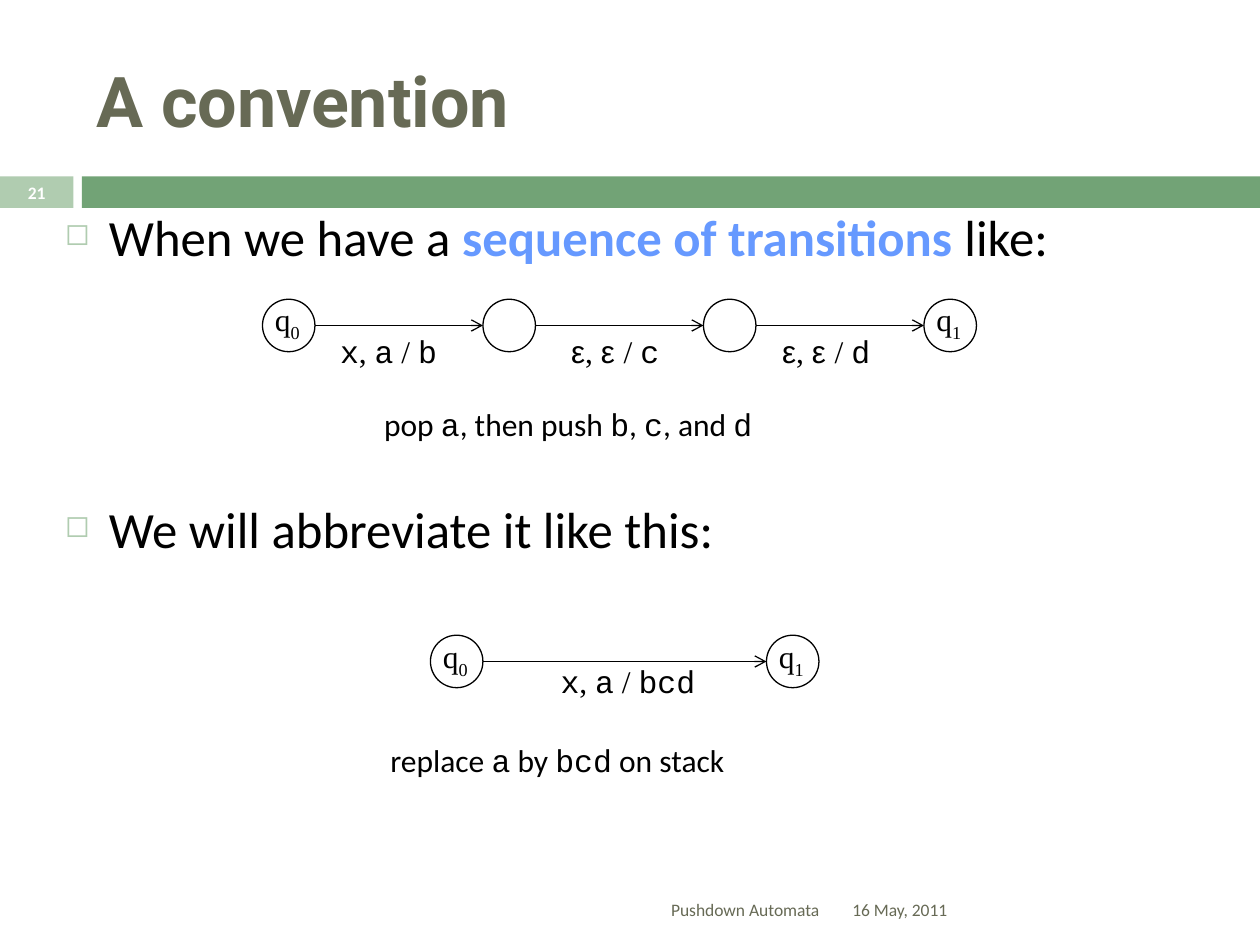
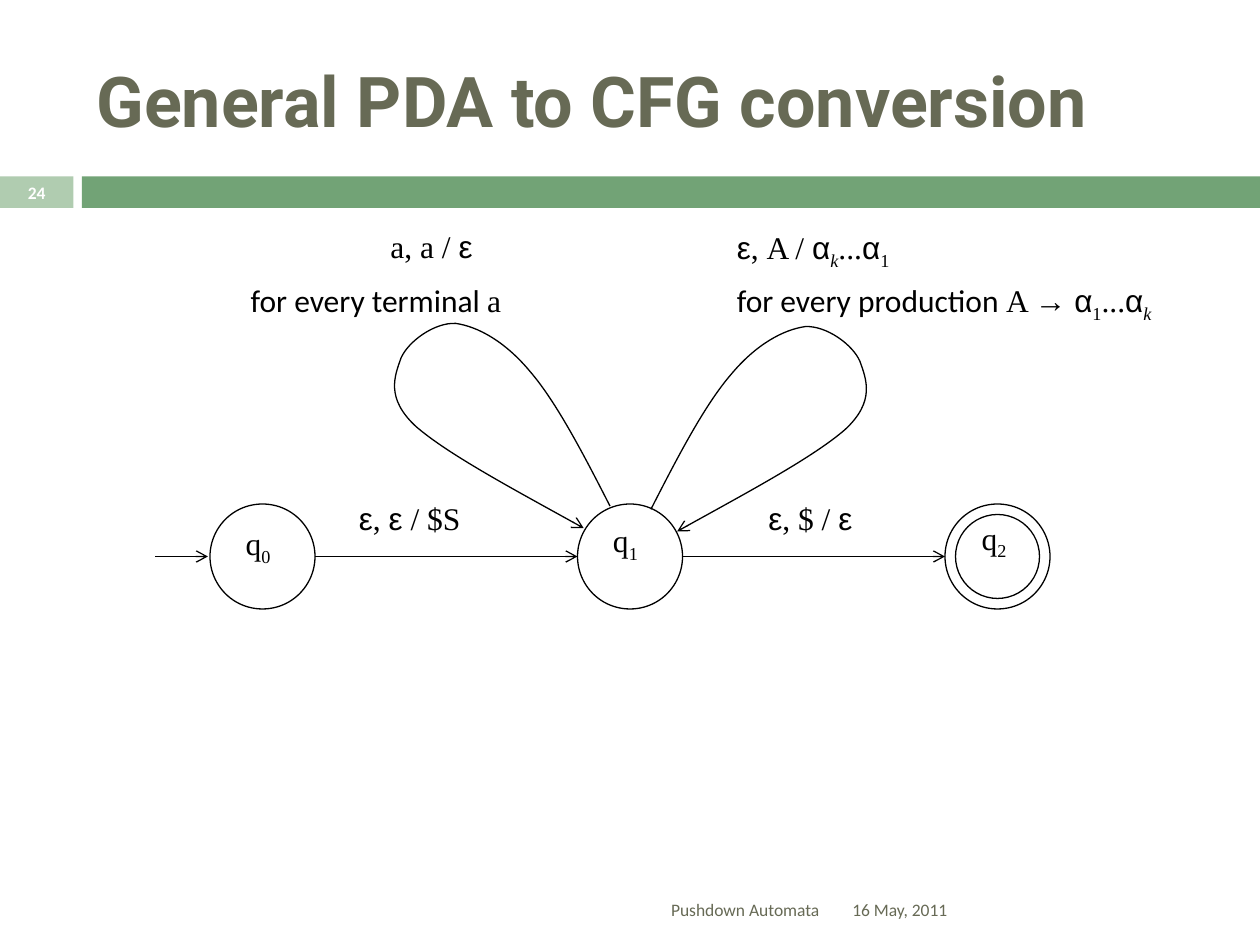
import lxml.etree
import pptx
import pptx.util
from pptx.dml.color import RGBColor
from pptx.enum.shapes import MSO_CONNECTOR, MSO_SHAPE
from pptx.enum.text import MSO_ANCHOR, MSO_AUTO_SIZE, PP_ALIGN
from pptx.oxml.ns import qn

PX = 7620  # EMU per px, 120 px to the inch

BLACK = RGBColor(0x00, 0x00, 0x00)
WHITE = RGBColor(0xFF, 0xFF, 0xFF)
OLIVE = RGBColor(0x67, 0x6A, 0x55)
GREEN = RGBColor(0x72, 0xA3, 0x76)
PALE_GREEN = RGBColor(0xB0, 0xCC, 0xB0)
KEY_BLUE = RGBColor(0x66, 0x99, 0xFF)

SANS = "Calibri"
SERIF = "Times New Roman"
MONO = "Courier New"
GREEK = "Arial"


def write(paragraph, runs, size, color, bold=False):
    """Fill a paragraph with (text, font, style) runs."""
    fonts = {font for _, font, *_ in runs}
    paragraph.font.size = pptx.util.Pt(size)
    paragraph.font.color.rgb = color
    paragraph.font.bold = bold
    if len(fonts) == 1:
        paragraph.font.name = runs[0][1]
    for text, font, *style in runs:
        run = paragraph.add_run()
        run.text = text
        if len(fonts) > 1:
            run.font.name = font
        if "sub" in style:
            run._r.get_or_add_rPr().set("baseline", "-25000")
        if "italic" in style:
            run.font.italic = True
        if "key" in style:
            run.font.bold = True
            run.font.color.rgb = KEY_BLUE


def outline(shape, arrow=False):
    """Thin black line without shadow, with an arrowhead at its end if wanted."""
    shape.line.color.rgb = BLACK
    shape.line.width = pptx.util.Pt(0.75)
    if arrow:
        head = lxml.etree.SubElement(shape.line._get_or_add_ln(), qn("a:tailEnd"))
        head.set("type", "arrow")
    lxml.etree.SubElement(shape._element.spPr, qn("a:effectLst"))


deck = pptx.Presentation()
deck.slide_width, deck.slide_height = 1200 * PX, 900 * PX

# Shared frame: bands, title, slide number, footer
slides = []
for title_text, number in (("A convention", "21"), ("General PDA to CFG conversion", "24")):
    slide = deck.slides.add_slide(deck.slide_layouts[5])
    slides.append(slide)

    for left, width, color in ((0, 70, PALE_GREEN), (78, 1122, GREEN)):
        band = slide.shapes.add_shape(
            MSO_SHAPE.RECTANGLE, left * PX, 168 * PX, width * PX, 30 * PX)
        band.shadow.inherit = False
        band.fill.solid()
        band.fill.fore_color.rgb = color
        band.line.fill.background()

    title = slide.shapes.title
    title.left, title.top, title.width, title.height = 80 * PX, 30 * PX, 1070 * PX, 130 * PX
    title.text_frame.vertical_anchor = MSO_ANCHOR.MIDDLE
    heading = title.text_frame.paragraphs[0]
    heading.alignment = PP_ALIGN.LEFT
    write(heading, [(title_text, "Roboto")], 40, OLIVE, bold=True)

    for text, left, top, width, height, align, color, bold in (
        ("16 May, 2011", 800, 842, 350, 48, PP_ALIGN.LEFT, OLIVE, False),
        (number, 0, 167, 70, 32, PP_ALIGN.CENTER, WHITE, True),
        ("Pushdown Automata", 80, 842, 712, 48, PP_ALIGN.RIGHT, OLIVE, False),
    ):
        note = slide.shapes.add_textbox(left * PX, top * PX, width * PX, height * PX)
        note.text_frame.word_wrap = True
        note.text_frame.vertical_anchor = MSO_ANCHOR.MIDDLE
        note.text_frame.paragraphs[0].alignment = align
        write(note.text_frame.paragraphs[0], [(text, SANS)], 10, color, bold)

convention, conversion = slides

# Bullets of the convention slide
bullets = convention.shapes.add_textbox(50 * PX, 190 * PX, 1097 * PX, 414 * PX).text_frame
bullets.word_wrap = True
for index, runs in enumerate((
    [("When we have a ", SANS), ("sequence of transitions ", SANS, "key"), ("like:", SANS)],
    [("We will abbreviate it like this:", SANS)],
)):
    bullet = bullets.add_paragraph() if index else bullets.paragraphs[0]
    if index:
        bullet.space_before = pptx.util.Pt(132)
    properties = bullet._p.get_or_add_pPr()
    properties.set("marL", str(42 * PX))
    properties.set("indent", str(-42 * PX))
    bullet_color = lxml.etree.SubElement(properties, qn("a:buClr"))
    lxml.etree.SubElement(bullet_color, qn("a:srgbClr")).set("val", str(PALE_GREEN))
    lxml.etree.SubElement(properties, qn("a:buSzPct")).set("val", "60000")
    lxml.etree.SubElement(properties, qn("a:buChar")).set("char", "◻")
    write(bullet, runs, 29, BLACK)

# Rows of states: slide, left edges, top, diameter
state_rows = (
    (convention, [250 + 210 * i for i in range(4)], 285, 50),
    (convention, [410, 730], 605, 50),
    (conversion, [200 + 350 * i for i in range(3)], 480, 100),
)
circles = [(slide, left, top, size) for slide, lefts, top, size in state_rows for left in lefts]
circles.append((conversion, 910, 490, 80))  # inner ring of the accepting state
for slide, left, top, size in circles:
    state = slide.shapes.add_shape(MSO_SHAPE.OVAL, left * PX, top * PX, size * PX, size * PX)
    state.fill.background()
    outline(state)

# Transitions between neighbouring states, and the start arrow
arrows = [(slide, left + size, following, top + size // 2)
          for slide, lefts, top, size in state_rows
          for left, following in zip(lefts, lefts[1:])]
arrows.append((conversion, 148, 198, 530))
for slide, start, end, y in arrows:
    transition = slide.shapes.add_connector(
        MSO_CONNECTOR.STRAIGHT, start * PX, y * PX, end * PX, y * PX)
    outline(transition, arrow=True)

# Self-loops of q1: the right one mirrors the left one
left_loop = [
    (581, 482), (556, 433), (530, 383), (505, 354), (481, 325), (455, 311), (434, 308),
    (414, 307), (389, 325), (382, 341), (376, 358), (367, 379), (396, 406),
    (426, 432), (491, 467), (556, 503),
]
right_loop = [(1201 - x, y + 3) for x, y in left_loop]
for points in (left_loop, right_loop):
    builder = conversion.shapes.build_freeform(*points[0], scale=PX)
    builder.add_line_segments(points[1:], close=False)
    loop = builder.convert_to_shape()
    # Every three line points become one Bézier segment
    segments = list(loop._element.iter(qn("a:lnTo")))
    for i in range(0, len(segments), 3):
        curve = lxml.etree.SubElement(segments[i].getparent(), qn("a:cubicBezTo"))
        for segment in segments[i:i + 3]:
            curve.append(segment[0])
            segment.getparent().remove(segment)
    loop.fill.background()
    outline(loop, arrow=True)

# Labels: slide, left, top, width, height, runs
q0, q1, q2 = ([("q", SERIF), (digit, SERIF, "sub")] for digit in "012")
epsilon_push = [("ε", GREEK), (", ", SERIF), ("ε ", GREEK), ("/ ", SERIF)]
pop_a = [("x", MONO), (", ", SERIF), ("a", MONO), (" / ", SERIF)]
labels = (
    (convention, 250, 280, 49, 48, q0),
    (convention, 880, 280, 48, 48, q1),
    (convention, 312, 310, 128, 48, pop_a + [("b", MONO)]),
    (convention, 532, 310, 114, 48, epsilon_push + [("c", MONO)]),
    (convention, 733, 310, 114, 48, epsilon_push + [("d", MONO)]),
    (convention, 354, 380, 480, 61, [
        ("pop ", SANS), ("a", MONO), (", then push ", SANS), ("b", MONO),
        (", ", SANS), ("c", MONO), (", and ", SANS), ("d", MONO)]),
    (convention, 410, 601, 49, 48, q0),
    (convention, 730, 601, 48, 48, q1),
    (convention, 522, 625, 160, 48, pop_a + [("bcd", MONO)]),
    (convention, 360, 700, 458, 61, [
        ("replace ", SANS), ("a", MONO), (" by ", SANS), ("bcd", MONO), (" on stack", SANS)]),
    (conversion, 222, 493, 56, 61, q0),
    (conversion, 572, 490, 56, 61, q1),
    (conversion, 923, 488, 56, 61, q2),
    (conversion, 330, 469, 156, 61, [
        ("ε", GREEK), (", ", SERIF), ("ε", GREEK), (" / $S", SERIF)]),
    (conversion, 720, 469, 137, 61, [("ε", GREEK), (", $ / ", SERIF), ("ε", GREEK)]),
    (conversion, 360, 210, 134, 61, [("a, a / ", SERIF), ("ε", GREEK)]),
    (conversion, 227, 262, 266, 48, [("for every terminal ", SANS), ("a", SERIF)]),
    (conversion, 690, 211, 233, 61, [
        ("ε", GREEK), (", A / ", SERIF), ("α", GREEK), ("k", SERIF, "sub", "italic"),
        ("...", SERIF), ("α", GREEK), ("1", SERIF, "sub")]),
    (conversion, 690, 262, 432, 48, [
        ("for every production ", SANS), ("A → ", SERIF), ("α", GREEK), ("1", SERIF, "sub"),
        ("...", SERIF), ("α", GREEK), ("k", SERIF, "sub", "italic")]),
)
for slide, left, top, width, height, runs in labels:
    label = slide.shapes.add_textbox(left * PX, top * PX, width * PX, height * PX).text_frame
    label.word_wrap = False
    label.auto_size = MSO_AUTO_SIZE.SHAPE_TO_FIT_TEXT
    write(label.paragraphs[0], runs, 18, BLACK)

deck.save("out.pptx")
